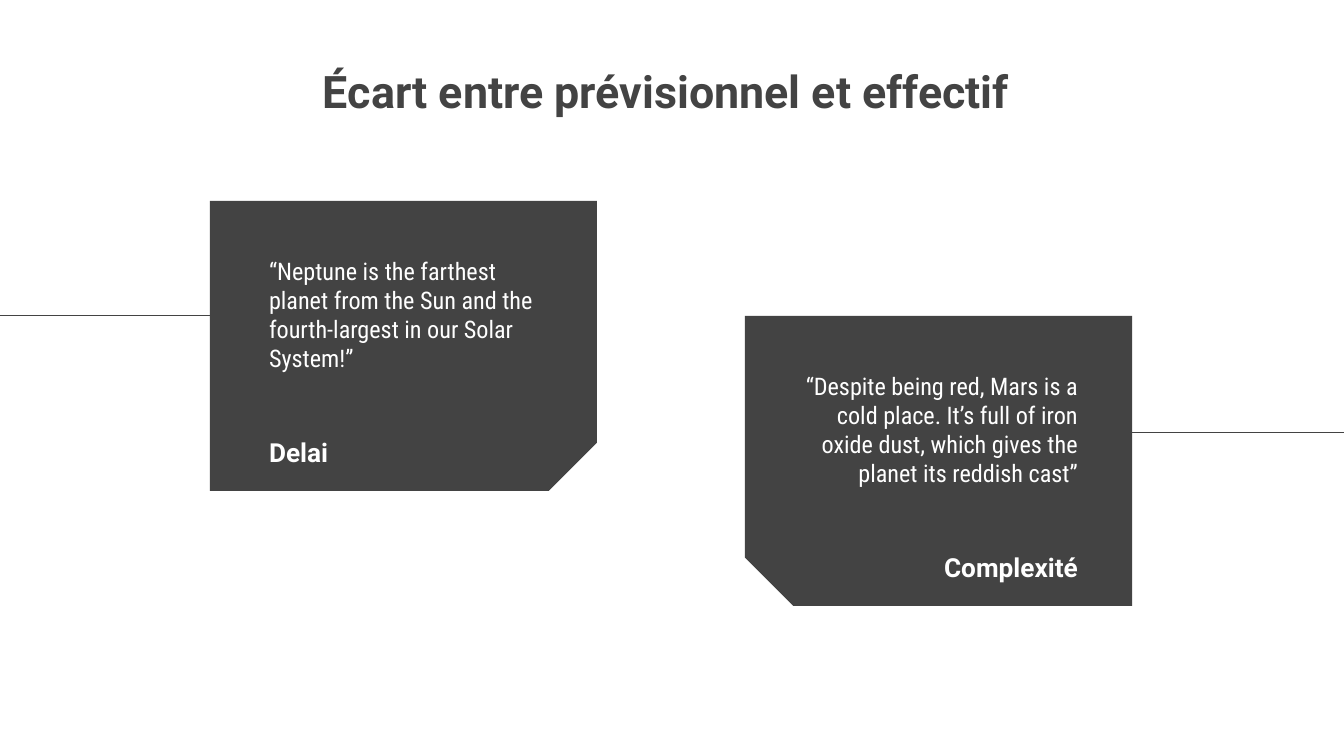
from lxml import etree
from pptx import Presentation, util as u
from pptx.dml.color import RGBColor
from pptx.enum import shapes, text
from pptx.oxml.ns import qn

DARK = RGBColor(0x43, 0x43, 0x43)
WHITE = RGBColor(255, 255, 255)
PX = 914400 / 100.8
WIDE, HIGH = 1344, 756
LEFT, MID, RIGHT = text.PP_ALIGN.LEFT, text.PP_ALIGN.CENTER, text.PP_ALIGN.RIGHT
TOP, LOW = text.MSO_ANCHOR.TOP, text.MSO_ANCHOR.BOTTOM

TITLE = "Écart entre prévisionnel et effectif "
TITLE_BOX = (289, 51, 766, 139)
CARD_W, CARD_H = 387, 290
QUOTE_W, QUOTE_H = 318, 147
NAME_W, NAME_H = 262, 63
CARDS = [
    dict(name="Delai", x=210, y=201, turn=90, align=LEFT, inset=46, rule=316,
         quote="“Neptune is the farthest planet from the Sun and the "
               "fourth-largest in our Solar System!”"),
    dict(name="Complexité", x=745, y=316, turn=180, align=RIGHT, inset=41, rule=433,
         quote="“Despite being red, Mars is a cold place. It’s full of iron "
               "oxide dust, which gives the planet its reddish cast”"),
]


def px(*nums):
    return [u.Emu(round(n * PX)) for n in nums]


def write(holder, words, box, size, color, align, anchor=TOP, face="Roboto", bold=True):
    holder.left, holder.top, holder.width, holder.height = px(*box)
    frame = holder.text_frame
    frame.text = words
    frame.word_wrap = True
    frame.auto_size = text.MSO_AUTO_SIZE.NONE
    frame.vertical_anchor = anchor
    frame.margin_left = frame.margin_right = px(13)[0]
    frame.margin_top = frame.margin_bottom = px(13)[0]
    para = frame.paragraphs[0]
    para.alignment = align
    para.space_before = u.Pt(0)
    para.line_spacing = 1.0
    font = para.font
    font.name, font.size, font.bold = face, u.Pt(size), bold
    font.color.rgb = color
    props = para._p.get_or_add_pPr()
    props.set("marL", "0")
    props.set("indent", "0")
    props.find(qn("a:defRPr")).addprevious(etree.Element(qn("a:buNone")))


def add_card(slide, x, y, turn):
    """Place a snipped card behind the text; x and y are its corner once turned."""
    w, h = (CARD_H, CARD_W) if turn == 90 else (CARD_W, CARD_H)
    left, top = x + (CARD_W - w) / 2, y + (CARD_H - h) / 2
    card = slide.shapes.add_shape(
        shapes.MSO_SHAPE.SNIP_1_RECTANGLE, *px(left, top, w, h))
    card.adjustments[0] = 0.167
    card.rotation = turn
    card.shadow.inherit = False
    card.fill.solid()
    card.fill.fore_color.rgb = DARK
    card.line.fill.background()
    card.element.getparent().insert(2, card.element)


def add_rule(slide, start, end, y):
    rule = slide.shapes.add_connector(
        shapes.MSO_CONNECTOR.STRAIGHT, *px(start, y, end, y))
    rule.line.color.rgb = DARK
    rule.line.width = u.Pt(0.75)
    etree.SubElement(rule.element.spPr, qn("a:effectLst"))


def main():
    deck = Presentation()
    deck.slide_width, deck.slide_height = px(WIDE, HIGH)
    slide = deck.slides.add_slide(deck.slide_layouts.get_by_name("Comparison"))
    title, *bodies = slide.placeholders
    write(title, TITLE, TITLE_BOX, 32, DARK, MID)

    for card, name, quote in zip(CARDS, bodies[::2], bodies[1::2]):
        x, y, align, inset = card["x"], card["y"], card["align"], card["inset"]
        end = x + CARD_W
        add_card(slide, x, y, card["turn"])
        if align == LEFT:
            add_rule(slide, x, 0, card["rule"])
        else:
            add_rule(slide, WIDE, end, card["rule"])

        def place(w):
            return x + inset if align == LEFT else end - inset - w

        write(name, card["name"], (place(NAME_W), y + 217, NAME_W, NAME_H),
              18.7, WHITE, align, LOW)
        write(quote, card["quote"], (place(QUOTE_W), y + 42, QUOTE_W, QUOTE_H),
              17.3, WHITE, align, face="Roboto Condensed", bold=False)

    deck.save("out.pptx")


if __name__ == "__main__":
    main()
